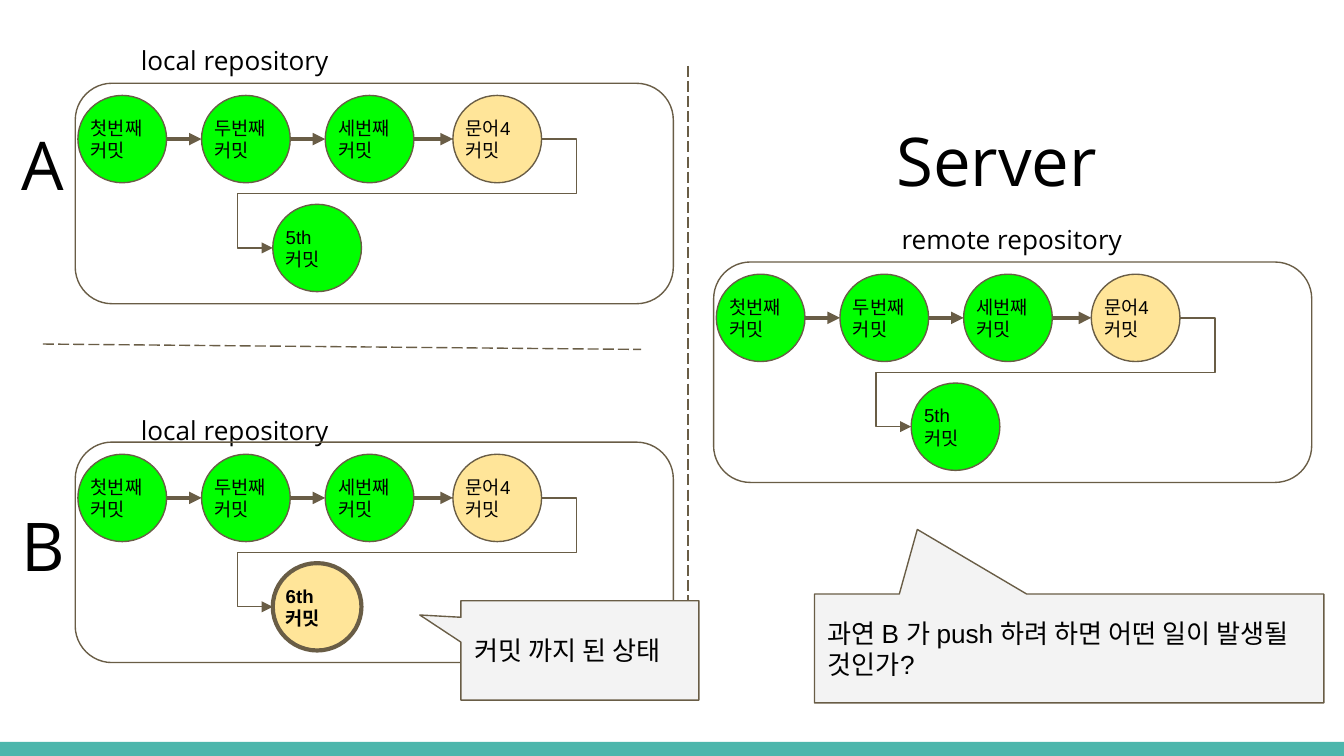
from dataclasses import dataclass
from itertools import pairwise

from lxml.etree import SubElement
from pptx import Presentation
from pptx.dml.color import RGBColor
from pptx.enum.dml import MSO_LINE
from pptx.enum.shapes import MSO_CONNECTOR, MSO_SHAPE
from pptx.enum.text import MSO_ANCHOR, PP_ALIGN
from pptx.oxml.ns import qn
from pptx.util import Inches, Pt


@dataclass(frozen=True)
class Theme:
    """Colours, fonts, type sizes and line widths of the slide."""

    ink: str = "000000"
    outline: str = "695D46"
    shared: str = "00FF00"
    latest: str = "FFE599"
    note: str = "F3F3F3"
    footer: str = "4DB6AC"
    label_font: str = "Open Sans"
    body_font: str = "Arial"
    heading: int = 36
    label: int = 14
    commit: int = 10
    thin: float = 0.75
    thick: float = 2.25


def write(frame, text, *, size, font, color, bold=None, inset=0.1, anchor=MSO_ANCHOR.TOP):
    """Fill a text frame with one left-aligned paragraph per line of text."""
    frame.word_wrap = True
    frame.vertical_anchor = anchor
    frame.margin_left = frame.margin_right = Inches(inset)
    frame.margin_top = frame.margin_bottom = Inches(inset)
    frame.text = text
    for paragraph in frame.paragraphs:
        paragraph.alignment = PP_ALIGN.LEFT
        for run in paragraph.runs:
            run.font.size = Pt(size)
            run.font.name = font
            run.font.bold = bold
            run.font.color.rgb = RGBColor.from_string(color)


class Board:
    """Draws repository elements on the current slide in one style."""

    DIAMETER = (0.66, 0.65)
    HISTORY = (("첫번째", 0.02), ("두번째", 0.94), ("세번째", 1.86), ("문어4", 2.81))

    def __init__(self, slide, theme):
        """Keep the slide and its style."""
        self.slide = slide
        self.theme = theme

    def shape(self, kind, box, fill=None, width=None, adjustments=()):
        """Add a preset shape with an optional fill and outline."""
        shape = self.slide.shapes.add_shape(kind, *map(Inches, box))
        shape.shadow.inherit = False
        for index, value in enumerate(adjustments):
            shape.adjustments[index] = value
        if fill:
            shape.fill.solid()
            shape.fill.fore_color.rgb = RGBColor.from_string(fill)
        else:
            shape.fill.background()
        if width:
            shape.line.width = Pt(width)
            shape.line.color.rgb = RGBColor.from_string(self.theme.outline)
        else:
            shape.line.fill.background()
        return shape

    def label(self, text, box, size):
        """Add a text box in the label font."""
        frame = self.slide.shapes.add_textbox(*map(Inches, box)).text_frame
        write(frame, text, size=size, font=self.theme.label_font, color=self.theme.ink)

    def line(self, start, end, width, kind=MSO_CONNECTOR.STRAIGHT, dashed=False):
        """Add a connector that is either dashed or ends in an arrowhead."""
        connector = self.slide.shapes.add_connector(kind, *map(Inches, (*start, *end)))
        connector.line.width = Pt(width)
        connector.line.color.rgb = RGBColor.from_string(self.theme.outline)
        if dashed:
            connector.line.dash_style = MSO_LINE.LONG_DASH
        else:
            line_format = connector._element.spPr.find(qn("a:ln"))
            SubElement(line_format, qn("a:tailEnd"), type="triangle")
        SubElement(connector._element.spPr, qn("a:effectLst"))
        return connector

    def wrap_arrow(self, start, end):
        """Add a five-part elbow arrow that leads back to the next row."""
        connector = self.line(start, end, self.theme.thin, MSO_CONNECTOR.ELBOW)
        geometry = connector._element.spPr.find(qn("a:prstGeom"))
        geometry.set("prst", "bentConnector5")
        guides = geometry.find(qn("a:avLst"))
        for index, value in enumerate((-13100, 50000, 113100), 1):
            SubElement(guides, qn("a:gd"), name=f"adj{index}", fmla=f"val {value}")

    def commit(self, name, left, top, fill, emphasis=False):
        """Add a commit circle."""
        width = self.theme.thick if emphasis else self.theme.thin
        circle = self.shape(MSO_SHAPE.OVAL, (left, top, *self.DIAMETER), fill, width)
        write(circle.text_frame, f"{name}\n커밋", size=self.theme.commit,
              font=self.theme.body_font, color=self.theme.ink,
              bold=emphasis or None, inset=0, anchor=MSO_ANCHOR.MIDDLE)

    def repository(self, left, top, newest, fill, emphasis=False):
        """Add a frame holding the commit history and its newest commit."""
        theme = self.theme
        diameter, height = self.DIAMETER
        row = top + 0.09
        middle = row + height / 2
        self.shape(MSO_SHAPE.ROUNDED_RECTANGLE, (left, top, 4.45, 1.64),
                   width=theme.thin, adjustments=(0.167,))
        for name, offset in self.HISTORY:
            color = theme.latest if name == self.HISTORY[-1][0] else theme.shared
            self.commit(name, left + offset, row, color)
        for (_, before), (_, after) in pairwise(self.HISTORY):
            self.line((left + before + diameter, middle), (left + after, middle), theme.thick)
        self.commit(newest, left + 1.47, row + 0.81, fill, emphasis)
        self.wrap_arrow((left + self.HISTORY[-1][1] + diameter, middle),
                        (left + 1.47, middle + 0.81))

    def callout(self, kind, text, box, adjustments):
        """Add a speech callout."""
        bubble = self.shape(kind, box, self.theme.note, self.theme.thin, adjustments)
        write(bubble.text_frame, text, size=self.theme.label, font=self.theme.body_font,
              color=self.theme.ink, anchor=MSO_ANCHOR.MIDDLE)


def main():
    """Build and save the slide."""
    theme = Theme()
    deck = Presentation()
    deck.slide_width = Inches(10)
    deck.slide_height = Inches(10) * 9 // 16
    board = Board(deck.slides.add_slide(deck.slide_layouts[6]), theme)

    board.shape(MSO_SHAPE.RECTANGLE, (0, 5.52, 10, 0.11), theme.footer)
    for heading, box in (("A", (0.06, 0.82, 0.51, 0.74)),
                         ("B", (0.06, 3.65, 0.51, 0.74)),
                         ("Server", (6.57, 0.79, 2.11, 0.74))):
        board.label(heading, box, theme.heading)
    for place, box in (("local repository", (0.95, 0.23, 2.36, 0.31)),
                       ("local repository", (0.95, 2.98, 2.36, 0.31)),
                       ("remote repository", (6.61, 1.56, 2.87, 0.31))):
        board.label(place, box, theme.label)
    board.line((5.12, 0.49), (5.12, 5.05), theme.thin, dashed=True)
    board.line((0.32, 2.56), (4.77, 2.6), theme.thin, dashed=True)

    board.repository(0.56, 0.62, "5th", theme.shared)
    board.repository(5.31, 1.95, "5th", theme.shared)
    board.repository(0.56, 3.29, "6th", theme.latest, emphasis=True)

    board.callout(MSO_SHAPE.ROUNDED_RECTANGULAR_CALLOUT, "커밋 까지 된 상태",
                  (3.43, 4.47, 1.77, 0.74), (-0.673, -0.356, 0))
    board.callout(MSO_SHAPE.RECTANGULAR_CALLOUT,
                  "과연 B 가 push 하려 하면 어떤 일이 발생될 것인가?",
                  (6.06, 4.42, 3.79, 0.81), (-0.298, -1.094))
    deck.save("out.pptx")


if __name__ == "__main__":
    main()
